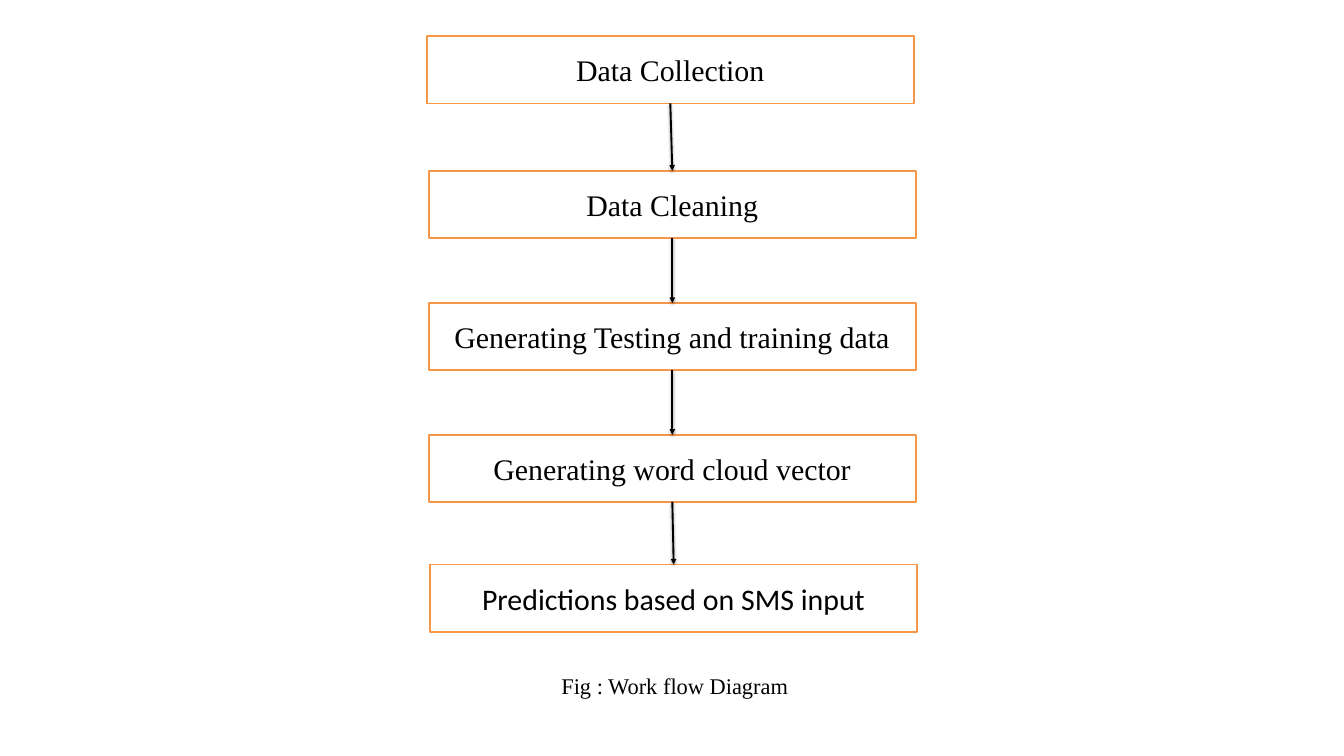
"""Build a work flow slide: five steps in a column, joined by arrows."""
from lxml import etree
from pptx import Presentation
from pptx.dml.color import RGBColor
from pptx.enum.shapes import MSO_CONNECTOR, MSO_SHAPE
from pptx.enum.text import MSO_ANCHOR, MSO_AUTO_SIZE, PP_ALIGN
from pptx.oxml import parse_xml
from pptx.oxml.ns import qn
from pptx.util import Inches, Pt

RECT = MSO_SHAPE.RECTANGLE
LINE = MSO_CONNECTOR.STRAIGHT
MIDDLE = MSO_ANCHOR.MIDDLE
CENTER = PP_ALIGN.CENTER
GROW = MSO_AUTO_SIZE.SHAPE_TO_FIT_TEXT
BLACK = RGBColor(0x00, 0x00, 0x00)
WHITE = RGBColor(0xFF, 0xFF, 0xFF)
ORANGE = RGBColor(0xF7, 0x96, 0x46)
SERIF = "Times New Roman"
SANS = "Calibri"
WIDE, HIGH = Inches(7.25), Inches(1)
BOTTOM, TOP = 2, 0
SHADE = (
    '<a:effectLst xmlns:a="http://schemas.openxmlformats.org/drawingml/2006/main">'
    '<a:outerShdw blurRad="40000" dist="20000" dir="5400000" rotWithShape="0">'
    '<a:srgbClr val="000000"><a:alpha val="38000"/></a:srgbClr>'
    '</a:outerShdw></a:effectLst>'
)
STEPS = [
    ("Data Collection", 6.35, 0.54, SERIF),
    ("Data Cleaning", 6.38, 2.54, SERIF),
    ("Generating Testing and training data", 6.38, 4.51, SERIF),
    ("Generating word cloud vector", 6.38, 6.47, SERIF),
    ("Predictions based on SMS input", 6.4, 8.4, SANS),
]


def write(shape, text, size=32, font=SERIF, color=BLACK):
    frame = shape.text_frame
    frame.word_wrap = True
    para = frame.paragraphs[0]
    para.alignment = CENTER
    run = para.add_run()
    run.text = text
    run.font.size = Pt(size)
    run.font.name = font
    run.font.color.rgb = color


deck = Presentation()
deck.slide_width, deck.slide_height = Inches(20), Inches(11.25)
slide = deck.slides.add_slide(deck.slide_layouts[6])
shapes = slide.shapes

boxes = []
for text, left, top, font in STEPS:
    box = shapes.add_shape(RECT, Inches(left), Inches(top), WIDE, HIGH)
    box.shadow.inherit = False
    box.fill.solid()
    box.fill.fore_color.rgb = WHITE
    box.line.color.rgb = ORANGE
    box.line.width = Pt(2)
    box.text_frame.vertical_anchor = MIDDLE
    write(box, text, font=font)
    boxes.append(box)

for start, end in zip(boxes, boxes[1:]):
    arrow = shapes.add_connector(LINE, 0, 0, 0, 0)
    arrow.begin_connect(start, BOTTOM)
    arrow.end_connect(end, TOP)
    arrow.line.color.rgb = BLACK
    arrow.line.width = Pt(2)
    etree.SubElement(arrow.line._get_or_add_ln(), qn("a:tailEnd"), type="triangle")
    arrow._element.spPr.append(parse_xml(SHADE))

label = shapes.add_textbox(Inches(6.33), Inches(9.96), Inches(7.42), Inches(0.5))
label.text_frame.auto_size = GROW
write(label, "Fig : Work flow Diagram", size=24)

deck.save("out.pptx")
